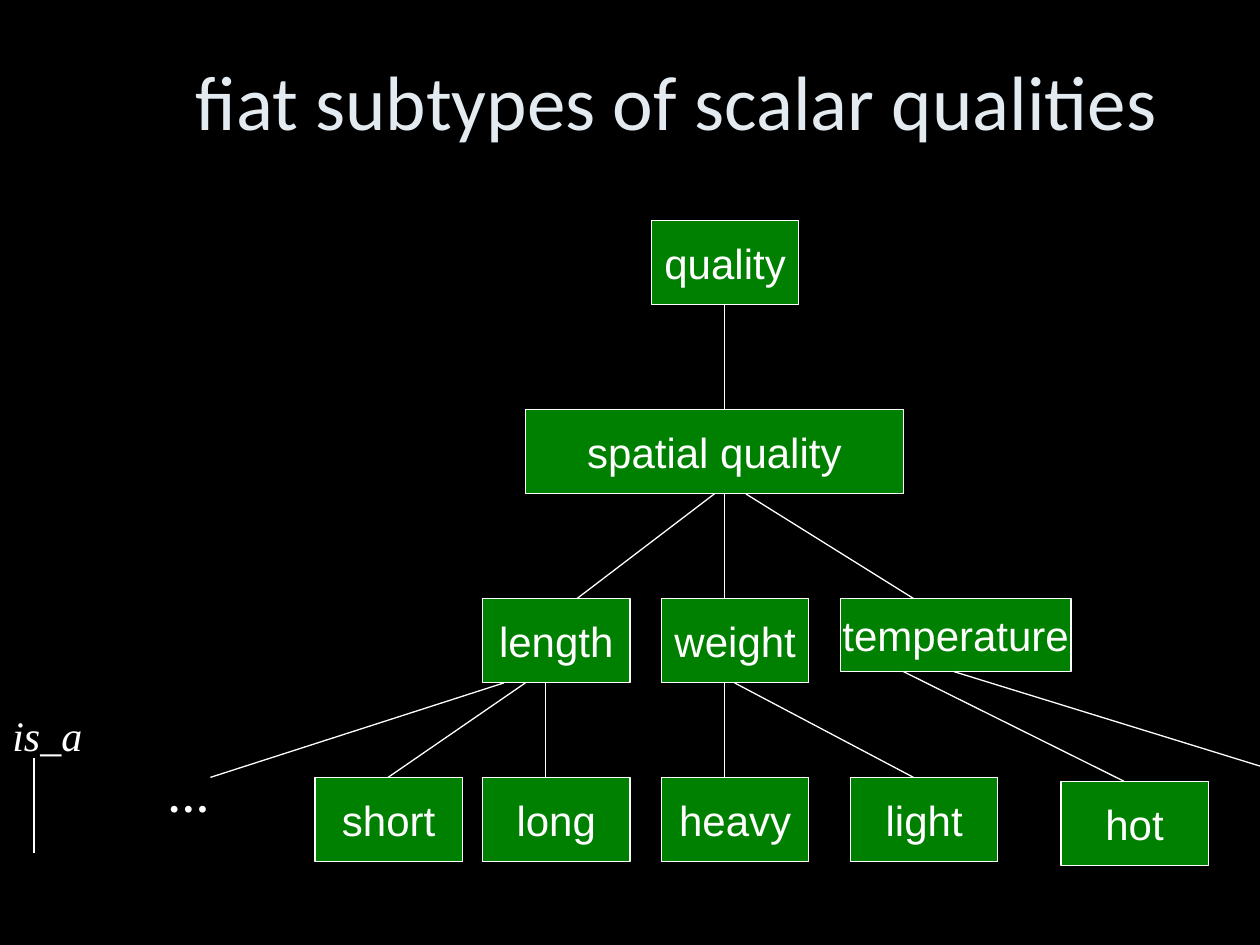
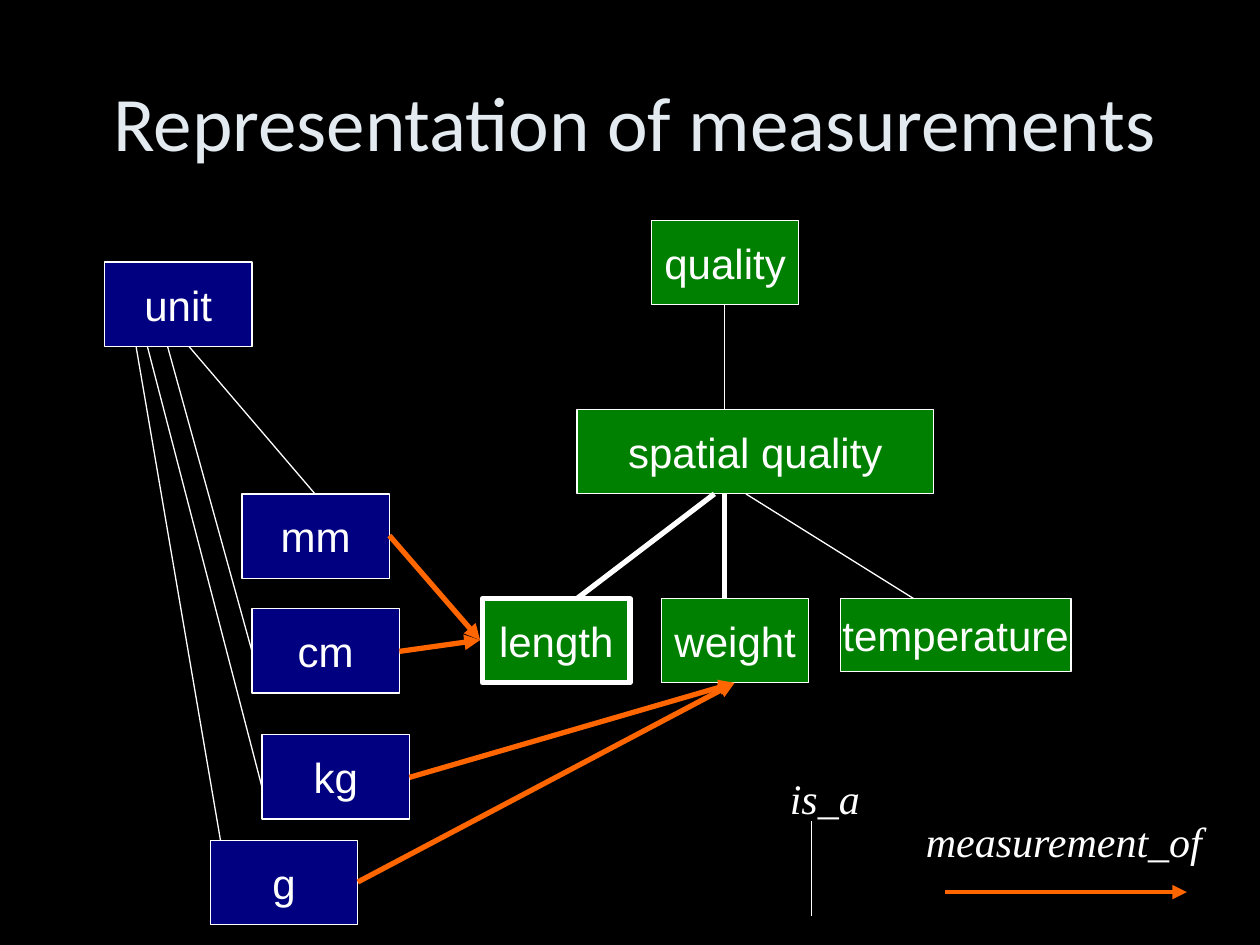
from lxml import etree
from pptx import Presentation, util as u
from pptx.dml.color import RGBColor
from pptx.enum import shapes, text
from pptx.oxml.ns import qn

BLACK, WHITE, PALE = "000000", "FFFFFF", "E3EBF1"
GREEN, NAVY, ORANGE = "008000", "000080", "FF6600"
THIN, THICK = 0.75, 3
BOX_W, BOX_H = 1.17, 0.67
ROOT_Y, SPATIAL_Y, KIND_Y, VALUE_Y = 1.75, 3.25, 4.75, 6.17

# Boxes: name -> (left, top, width, height)
QUALITIES = {
    "quality": (5.17, ROOT_Y, BOX_W, BOX_H),
    "length": (3.83, KIND_Y, BOX_W, BOX_H),
    "weight": (5.25, KIND_Y, BOX_W, BOX_H),
    "temperature": (6.67, KIND_Y, 1.83, 0.58),
}
VALUES = {"short": 2.5, "long": 3.83, "heavy": 5.25, "light": 6.75}
UNITS = {"unit": (0.83, 2.08), "mm": (1.92, 3.92), "cm": (2, 4.83),
         "kg": (2.08, 5.83), "g": (1.67, 6.67)}

# is_a lines: (parent, x under parent, end x, child or end y)
QUALITY_TREE = [
    ("quality", 5.75, 5.75, "spatial quality"),
    ("spatial quality", 5.67, 4.58, "length"),
    ("spatial quality", 5.75, 5.75, "weight"),
    ("spatial quality", 5.92, 7.25, "temperature"),
]
VALUE_TREE = [
    ("length", 4, 1.67, VALUE_Y),
    ("length", 4.17, 3.08, "short"),
    ("length", 4.33, 4.33, "long"),
    ("weight", 5.75, 5.75, "heavy"),
    ("weight", 5.83, 7.25, "light"),
    ("temperature", 7.17, 8.92, "hot"),
    ("temperature", 7.57, 10, 6.08),
]
UNIT_TREE = [
    ("unit", 1.5, 2.5, "mm"),
    ("unit", 1.33, 2, 5.17),
    ("unit", 1.17, 2.08, 6.25),
    ("unit", 1.08, 1.75, "g"),
]
# measurement_of arrows: (unit, y on its right edge, target point)
LENGTH_SIDE, WEIGHT_FOOT = (3.81, 5.08), (5.83, 5.42)
MEASUREMENTS = [("mm", 4.25, LENGTH_SIDE), ("cm", 5.17, LENGTH_SIDE),
                ("kg", 6.17, WEIGHT_FOOT), ("g", 7, WEIGHT_FOOT)]

SLIDES = [
    dict(title="fiat subtypes of scalar qualities", title_at=(0.91, 0.17, 8.92, 1.25),
         green=QUALITIES | {"spatial quality": (4.17, SPATIAL_Y, 3, BOX_H),
                            "hot": (8.42, 6.2, BOX_W, BOX_H)}
         | {name: (x, VALUE_Y, BOX_W, BOX_H) for name, x in VALUES.items()},
         navy={}, tree=QUALITY_TREE + VALUE_TREE, thick=(), thick_links=(),
         arrows=[], legend=(0, 5.58)),
    dict(title="Representation of measurements", title_at=(0.33, 0.33, 9.42, 1.25),
         green=QUALITIES | {"spatial quality": (4.58, SPATIAL_Y, 2.83, BOX_H)},
         navy={name: (*at, BOX_W, BOX_H) for name, at in UNITS.items()},
         tree=QUALITY_TREE + UNIT_TREE, thick=("length",),
         thick_links=("length", "weight"), arrows=MEASUREMENTS, legend=(6.17, 6.08)),
]


def color(hex_code):
    return RGBColor.from_string(hex_code)


def inches(values):
    return [u.Inches(value) for value in values]


def write(frame, words, size=24, font="Arial", ink=WHITE, bold=False, italic=False,
          align=text.PP_ALIGN.CENTER, anchor=text.MSO_ANCHOR.MIDDLE, wrap=False):
    frame.word_wrap = wrap
    frame.vertical_anchor = anchor
    paragraph = frame.paragraphs[0]
    paragraph.alignment = align
    run = paragraph.add_run()
    run.text = words
    run.font.size, run.font.name = u.Pt(size), font
    run.font.bold, run.font.italic = bold, italic
    run.font.color.rgb = color(ink)


def add_box(slide, name, at, fill, width):
    box = slide.shapes.add_shape(shapes.MSO_SHAPE.RECTANGLE, *inches(at))
    box.shadow.inherit = False
    box.fill.solid()
    box.fill.fore_color.rgb = color(fill)
    box.line.color.rgb = color(WHITE)
    box.line.width = u.Pt(width)
    write(box.text_frame, name)


def add_label(slide, words, at, **style):
    label = slide.shapes.add_textbox(*inches(at))
    label.text_frame.auto_size = text.MSO_AUTO_SIZE.SHAPE_TO_FIT_TEXT
    write(label.text_frame, words, font="Times New Roman", align=text.PP_ALIGN.LEFT,
          anchor=text.MSO_ANCHOR.TOP, **style)


def add_line(slide, start, end, ink=WHITE, width=THIN, arrow=False):
    line = slide.shapes.add_connector(shapes.MSO_CONNECTOR.STRAIGHT, *inches(start + end))
    line.line.color.rgb = color(ink)
    line.line.width = u.Pt(width)
    properties = line._element.spPr
    if arrow:
        etree.SubElement(properties.find(qn("a:ln")), qn("a:tailEnd"), type="triangle")
    etree.SubElement(properties, qn("a:effectLst"))


def draw_slide(deck, content):
    slide = deck.slides.add_slide(deck.slide_layouts[5])
    title = slide.shapes.title
    title.left, title.top, title.width, title.height = inches(content["title_at"])
    write(title.text_frame, content["title"], size=44, font="Calibri", ink=PALE, wrap=True)

    # Boxes
    for group, fill in (("green", GREEN), ("navy", NAVY)):
        for name, at in content[group].items():
            add_box(slide, name, at, fill, THICK if name in content["thick"] else THIN)

    # Tree lines run from the foot of the parent to the top of the child
    boxes = content["green"] | content["navy"]
    for parent, parent_x, end_x, child in content["tree"]:
        _, top, _, height = boxes[parent]
        end_y = boxes[child][1] if child in boxes else child
        add_line(slide, (parent_x, top + height), (end_x, end_y),
                 width=THICK if child in content["thick_links"] else THIN)

    # Measurement arrows
    for unit, y, target in content["arrows"]:
        left, _, width, _ = boxes[unit]
        add_line(slide, (left + width, y), target, ORANGE, THICK, arrow=True)

    # Legend of the is_a relation, wide enough to stay on one line
    x, y = content["legend"]
    add_label(slide, "is_a", (x, y, 0.8, 0.5), italic=True)
    add_line(slide, (x + 0.27, y + 0.44), (x + 0.27, y + 1.19))
    return slide


def main():
    deck = Presentation()
    deck.slide_width, deck.slide_height = inches((10, 7.5))
    backdrop = deck.slide_master.background.fill
    backdrop.solid()
    backdrop.fore_color.rgb = color(BLACK)

    subtypes, measurements = [draw_slide(deck, content) for content in SLIDES]
    add_label(subtypes, "…", (1.23, 6.07, 0.53, 0.5), bold=True)
    add_label(measurements, "measurement_of", (7.25, 6.42, 2.4, 0.5), italic=True)
    add_line(measurements, (7.5, 7.08), (9.42, 7.08), ORANGE, 2.75, arrow=True)
    deck.save("out.pptx")


if __name__ == "__main__":
    main()
